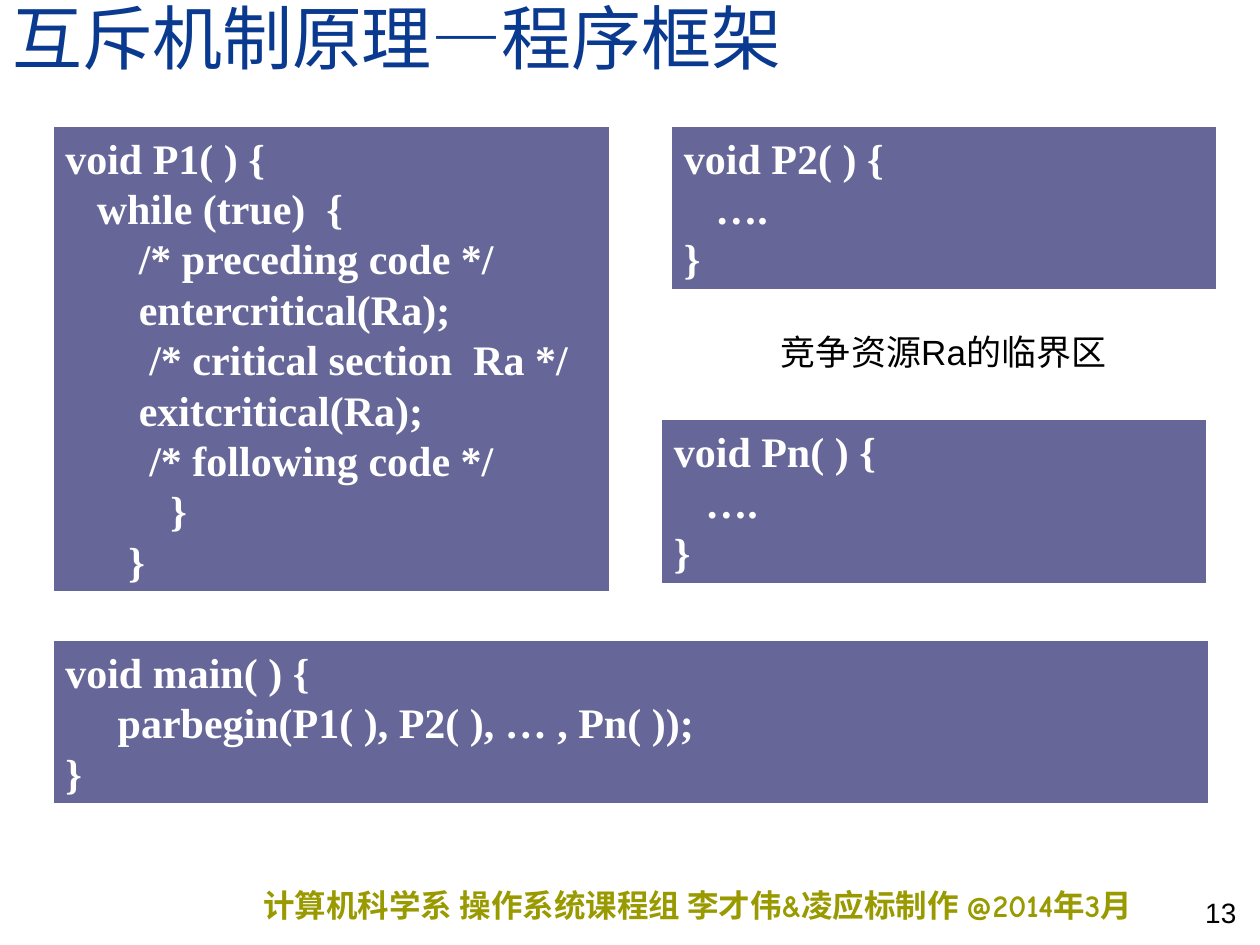
import pptx
import pptx.util
import pptx.dml.color
import pptx.enum.shapes
import pptx.enum.text

Inches = pptx.util.Inches
Pt = pptx.util.Pt
ANCHOR = pptx.enum.text.MSO_ANCHOR
ALIGN = pptx.enum.text.PP_ALIGN

SERIF = "Times New Roman"
WHITE = "FFFFFF"
PANEL = "666699"


def rgb(value):
    return pptx.dml.color.RGBColor.from_string(value)


def style(p, size, font, color, bold=False):
    for r in p.runs:
        r.font.size = Pt(size)
        r.font.name = font
        r.font.color.rgb = rgb(color)
        r.font.bold = bold


def add_label(s, box, text, size, font, color, bold=False,
              anchor=ANCHOR.TOP, align=ALIGN.LEFT, side=0.1):
    """One paragraph of text in a box with the given side margins."""
    tf = s.shapes.add_textbox(*map(Inches, box)).text_frame
    tf.word_wrap = True
    tf.vertical_anchor = anchor
    tf.margin_left = tf.margin_right = Inches(side)
    p = tf.paragraphs[0]
    p.text = text
    p.alignment = align
    style(p, size, font, color, bold)
    return p


def add_code(s, box, code, indent_from=None):
    """Code panel; lines from number indent_from on are set in by half an inch."""
    sp = s.shapes.add_shape(pptx.enum.shapes.MSO_SHAPE.RECTANGLE, *map(Inches, box))
    sp.shadow.inherit = False
    sp.fill.solid()
    sp.fill.fore_color.rgb = rgb(PANEL)
    sp.line.color.rgb = rgb(WHITE)
    sp.line.width = Pt(0.75)
    tf = sp.text_frame
    tf.word_wrap = True
    tf.vertical_anchor = ANCHOR.TOP
    tf.text = "\n".join(code)
    for i, p in enumerate(tf.paragraphs):
        p.alignment = ALIGN.LEFT
        p.line_spacing = Pt(28.8)
        if indent_from is not None and i >= indent_from:
            pPr = p._p.get_or_add_pPr()
            pPr.set("marL", str(Inches(0.5)))
            pPr.set("indent", "0")
        style(p, 24, SERIF, WHITE, True)


def add_footer(s):
    add_label(s, (2.09, 6.98, 7.32, 0.4),
              "计算机科学系 操作系统课程组 李才伟&凌应标制作 @2014年3月",
              18, "Comic Neue", "999900", bold=True, side=0)
    add_label(s, (8.33, 6.92, 1.58, 0.5), "13", 16, "Arial", "000000",
              anchor=ANCHOR.BOTTOM, align=ALIGN.RIGHT)


def main():
    prs = pptx.Presentation()
    prs.slide_width, prs.slide_height = Inches(10), Inches(7.5)
    s = prs.slides.add_slide(prs.slide_layouts[6])

    add_footer(s)

    # Title
    title = add_label(s, (0, 0, 8.83, 0.67), "互斥机制原理—程序框架",
                      40, SERIF, "0A3A90", anchor=ANCHOR.BOTTOM)
    title.line_spacing = 0.8

    # Processes and main program
    add_code(s, (0.42, 1, 4.42, 3.7), [
        "void P1( ) {",
        "   while (true)  {",
        " /* preceding code */",
        " entercritical(Ra);",
        "  /* critical section  Ra */",
        " exitcritical(Ra);",
        "  /* following code */",
        "    }",
        "}",
    ], indent_from=2)
    add_code(s, (5.33, 1, 4.33, 1.3), ["void P2( ) {", "   ….", "}"])
    add_code(s, (0.42, 5.08, 9.17, 1.3), [
        "void main( ) {",
        "     parbegin(P1( ), P2( ), … , Pn( ));",
        "}",
    ])
    add_code(s, (5.25, 3.33, 4.33, 1.3), ["void Pn( ) {", "   ….", "}"])

    # Note on the critical section
    add_label(s, (6.1, 2.57, 2.84, 0.77), "竞争资源Ra的临界区", 20, "Arial", "000000")

    prs.save("out.pptx")


if __name__ == "__main__":
    main()
